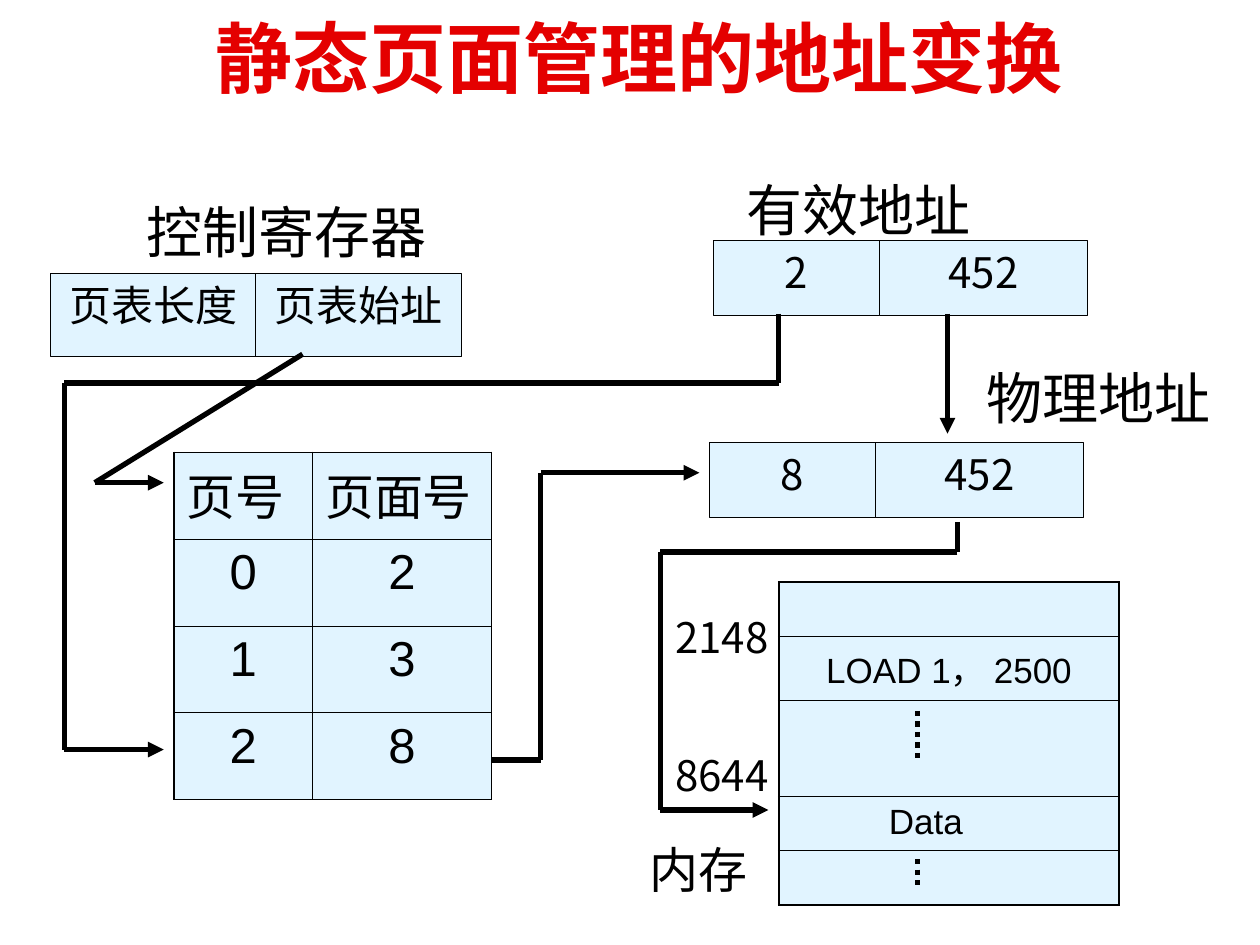
from itertools import pairwise
from lxml import etree
from pptx import Presentation
from pptx.dml.color import RGBColor
from pptx.enum.dml import MSO_LINE
from pptx.enum.shapes import MSO_CONNECTOR, MSO_SHAPE
from pptx.enum.text import MSO_ANCHOR, MSO_AUTO_SIZE, PP_ALIGN
from pptx.oxml.ns import qn
from pptx.util import Cm, Pt

LEFT, MID = PP_ALIGN.LEFT, PP_ALIGN.CENTER
TOP, CENTER = MSO_ANCHOR.TOP, MSO_ANCHOR.MIDDLE
GROW, FIXED = MSO_AUTO_SIZE.SHAPE_TO_FIT_TEXT, MSO_AUTO_SIZE.NONE
RECT, STRAIGHT, DOTS = MSO_SHAPE.RECTANGLE, MSO_CONNECTOR.STRAIGHT, MSO_LINE.ROUND_DOT
SANS, CJK = "Arial", "Noto Sans CJK SC"
BLACK, RED, PALE = "000000", "E40000", "E1F4FF"

TITLE = "静态页面管理的地址变换"
LABELS = [
    ("控制寄存器", 2.93, 3.99, 5.7, 1.35, 32),
    ("有效地址", 15.0, 3.53, 4.6, 1.35, 32),
    ("物理地址", 19.85, 7.32, 4.6, 1.35, 32),
    ("2148", 13.57, 12.32, 1.96, 1.02, 24),
    ("8644", 13.57, 15.11, 1.96, 1.02, 24),
    ("内存", 13.08, 16.92, 2.02, 1.19, 28),
]
PAIRS = [
    (1.02, 5.51, 1.68, [("页表长度", 4.14), ("页表始址", 4.14)]),
    (14.38, 4.85, 1.52, [("2", 3.35), ("452", 4.19)]),
    (14.3, 8.92, 1.52, [("8", 3.35), ("452", 4.19)]),
]
PAGES = [["页号", "页面号"], ["0", "2"], ["1", "3"], ["2", "8"]]
MEMORY = [[""], ["LOAD 1， 2500"], [""], ["Data"], [""]]
ROUTES = [
    [(6.1, 7.14), (1.91, 9.73), (3.3, 9.73)],
    [(15.7, 6.32), (15.7, 7.72), (1.3, 7.72), (1.3, 15.11), (3.3, 15.11)],
    [(9.91, 15.32), (10.9, 15.32), (10.9, 9.53), (14.1, 9.53)],
    [(19.1, 6.32), (19.1, 8.74)],
    [(19.3, 10.52), (19.3, 11.13), (13.31, 11.13), (13.31, 16.33), (15.49, 16.33)],
]
GAPS = [(18.49, 14.33, 15.32), (18.49, 17.32, 17.93)]


def color(code):
    return RGBColor.from_string(code)


def write(frame, text, size, font=CJK, ink=BLACK, align=MID, bold=False):
    para = frame.paragraphs[0]
    para.text = text
    para.alignment = align
    face = para.font
    face.name, face.size, face.bold = font, Pt(size), bold
    face.color.rgb = color(ink)


def label(text, x, y, w, h, size, **style):
    frame = slide.shapes.add_textbox(Cm(x), Cm(y), Cm(w), Cm(h)).text_frame
    frame.margin_left = frame.margin_right = 0
    frame.margin_top = frame.margin_bottom = 0
    frame.word_wrap = False
    frame.auto_size = GROW
    write(frame, text, size, **style)
    return frame


def box(text, x, y, w, h):
    shape = slide.shapes.add_shape(RECT, Cm(x), Cm(y), Cm(w), Cm(h))
    shape.shadow.inherit = False
    shape.fill.solid()
    shape.fill.fore_color.rgb = color(PALE)
    shape.line.color.rgb = color(BLACK)
    shape.line.width = Pt(0.62)
    shape.text_frame.word_wrap = True
    shape.text_frame.vertical_anchor = TOP
    write(shape.text_frame, text, 24)


def line(start, end, arrow=False, dash=None):
    ends = [Cm(v) for v in (*start, *end)]
    link = slide.shapes.add_connector(STRAIGHT, *ends)
    link.line.color.rgb = color(BLACK)
    link.line.width = Pt(3)
    if dash:
        link.line.dash_style = dash
    if arrow:
        etree.SubElement(link.line._ln, qn("a:tailEnd"), type="triangle")
    etree.SubElement(link._element.spPr, qn("a:effectLst"))


def edge(cell, side, width):
    props = cell._tc.get_or_add_tcPr()
    rule = etree.SubElement(props, qn("a:ln" + side), w=str(Pt(width)))
    fill = etree.SubElement(rule, qn("a:solidFill"))
    etree.SubElement(fill, qn("a:srgbClr"), val=BLACK)


def grid(rows, x, y, cols, highs, size):
    last, end = len(rows) - 1, len(cols) - 1
    area = [Cm(v) for v in (x, y, sum(cols), sum(highs))]
    table = slide.shapes.add_table(len(rows), len(cols), *area).table
    table.first_row = table.horz_banding = False
    for col, wide in zip(table.columns, cols):
        col.width = Cm(wide)
    for r, (row, high) in enumerate(zip(rows, highs)):
        table.rows[r].height = Cm(high)
        for c, text in enumerate(row):
            cell = table.cell(r, c)
            outer = {"L": c == 0, "R": c == end, "T": r == 0, "B": r == last}
            for side, out in outer.items():
                edge(cell, side, 1.08 if out else 0.45)
            cell.fill.solid()
            cell.fill.fore_color.rgb = color(PALE)
            write(cell.text_frame, text, size, SANS)
    return table


deck = Presentation()
deck.slide_width, deck.slide_height = Cm(25.4), Cm(19.05)
slide = deck.slides.add_slide(deck.slide_layouts[6])

head = label(TITLE, 4.09, 0.2, 19.61, 1.9, 44, font=SANS, ink=RED, align=LEFT, bold=True)
head.margin_left = Cm(0.25)
head.vertical_anchor = CENTER
head.word_wrap = True
head.auto_size = FIXED

for x, y, h, cells in PAIRS:
    for text, w in cells:
        box(text, x, y, w, h)
        x += w

pages = grid(PAGES, 3.51, 9.12, [2.79, 3.61], [1.75] * 4, 28)
for cell in pages.rows[0].cells:
    cell.text_frame.paragraphs[0].alignment = LEFT

memory = grid(MEMORY, 15.7, 11.73, [6.86], [1.1, 1.1, 1.94, 1.1, 1.1], 20)
data = memory.cell(3, 0)
data.margin_left = Cm(2.22)
data.text_frame.paragraphs[0].alignment = LEFT

for route in ROUTES:
    for start, end in pairwise(route):
        line(start, end, arrow=end == route[-1])
for x, top, low in GAPS:
    line((x, top), (x, low), dash=DOTS)
for item in LABELS:
    label(*item)

deck.save("out.pptx")
